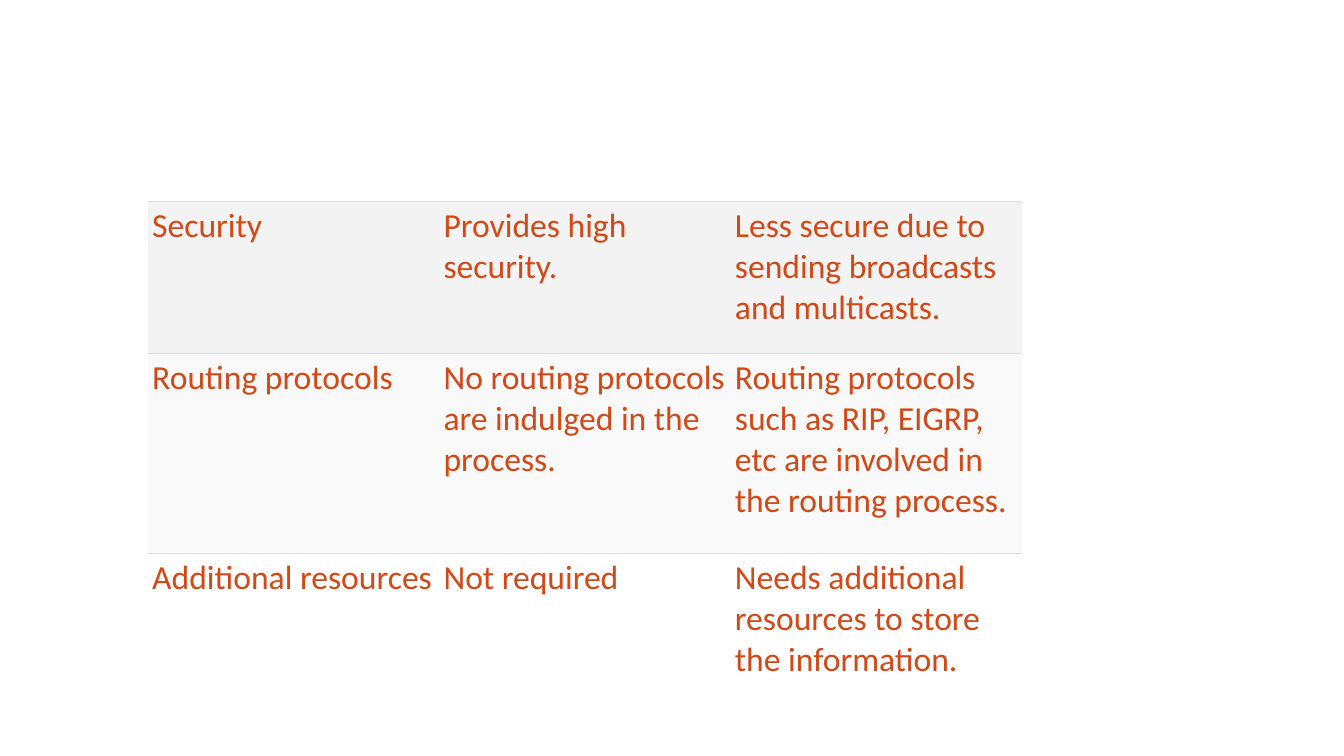
from lxml import etree
from pptx import Presentation
from pptx.dml.color import RGBColor
from pptx.oxml.ns import qn
from pptx.util import Inches, Pt

COLORS = {
    "text": "D34817",
    "rule": "DDDDDD",
    "security": "F3F3F3",
    "routing": "F9F9F9",
    "resources": "FFFFFF",
}
FONT = "Calibri"
COLUMN_WIDTH = 2.89
CELL_INSET = Inches(0.04)
ROWS = [
    ("security", 1.51, [
        "Security",
        "Provides high security.",
        "Less secure due to sending broadcasts and multicasts.",
    ]),
    ("routing", 1.98, [
        "Routing protocols",
        "No routing protocols are indulged in the process.",
        "Routing protocols such as RIP, EIGRP, etc are involved in the routing process.",
    ]),
    ("resources", 1.27, [
        "Additional resources",
        "Not required",
        "Needs additional resources to store the information.",
    ]),
]


def set_borders(cell, ruled_sides):
    """Draw thin rules on the given sides of a cell and clear the others."""
    properties = cell._tc.get_or_add_tcPr()
    for position, side in enumerate("LRTB"):
        line = etree.Element(qn(f"a:ln{side}"), w=str(Pt(0.5)))
        if side in ruled_sides:
            fill = etree.SubElement(line, qn("a:solidFill"))
            etree.SubElement(fill, qn("a:srgbClr"), val=COLORS["rule"])
        else:
            etree.SubElement(line, qn("a:noFill"))
        properties.insert(position, line)


def fill_cell(cell, text, color, ruled_sides):
    """Set the text, fill, insets and borders of one cell."""
    cell.margin_left = cell.margin_right = CELL_INSET
    cell.margin_top = cell.margin_bottom = CELL_INSET
    cell.fill.solid()
    cell.fill.fore_color.rgb = RGBColor.from_string(color)
    span = cell.text_frame.paragraphs[0].add_run()
    span.text = text
    span.font.name = FONT
    span.font.size = Pt(24)
    span.font.bold = False
    span.font.color.rgb = RGBColor.from_string(COLORS["text"])
    set_borders(cell, ruled_sides)


def add_comparison_table(page):
    """Add the three-column comparison table."""
    column_count = len(ROWS[0][2])
    height = sum(row_height for _, row_height, _ in ROWS)
    frame = page.shapes.add_table(
        len(ROWS), column_count, Inches(1.47), Inches(2),
        Inches(COLUMN_WIDTH * column_count), Inches(height))
    table = frame.table
    table.first_row = False
    table.horz_banding = False
    for column in table.columns:
        column.width = Inches(COLUMN_WIDTH)
    for row_index, (name, row_height, texts) in enumerate(ROWS):
        table.rows[row_index].height = Inches(row_height)
        ruled_sides = "T" if row_index == len(ROWS) - 1 else "TB"
        for column_index, text in enumerate(texts):
            fill_cell(table.cell(row_index, column_index), text,
                      COLORS[name], ruled_sides)


def main():
    """Build the slide and save the deck."""
    deck = Presentation()
    deck.slide_width = Inches(13.33)
    deck.slide_height = Inches(7.5)
    page = deck.slides.add_slide(deck.slide_layouts[6])
    add_comparison_table(page)
    deck.save("out.pptx")


if __name__ == "__main__":
    main()
